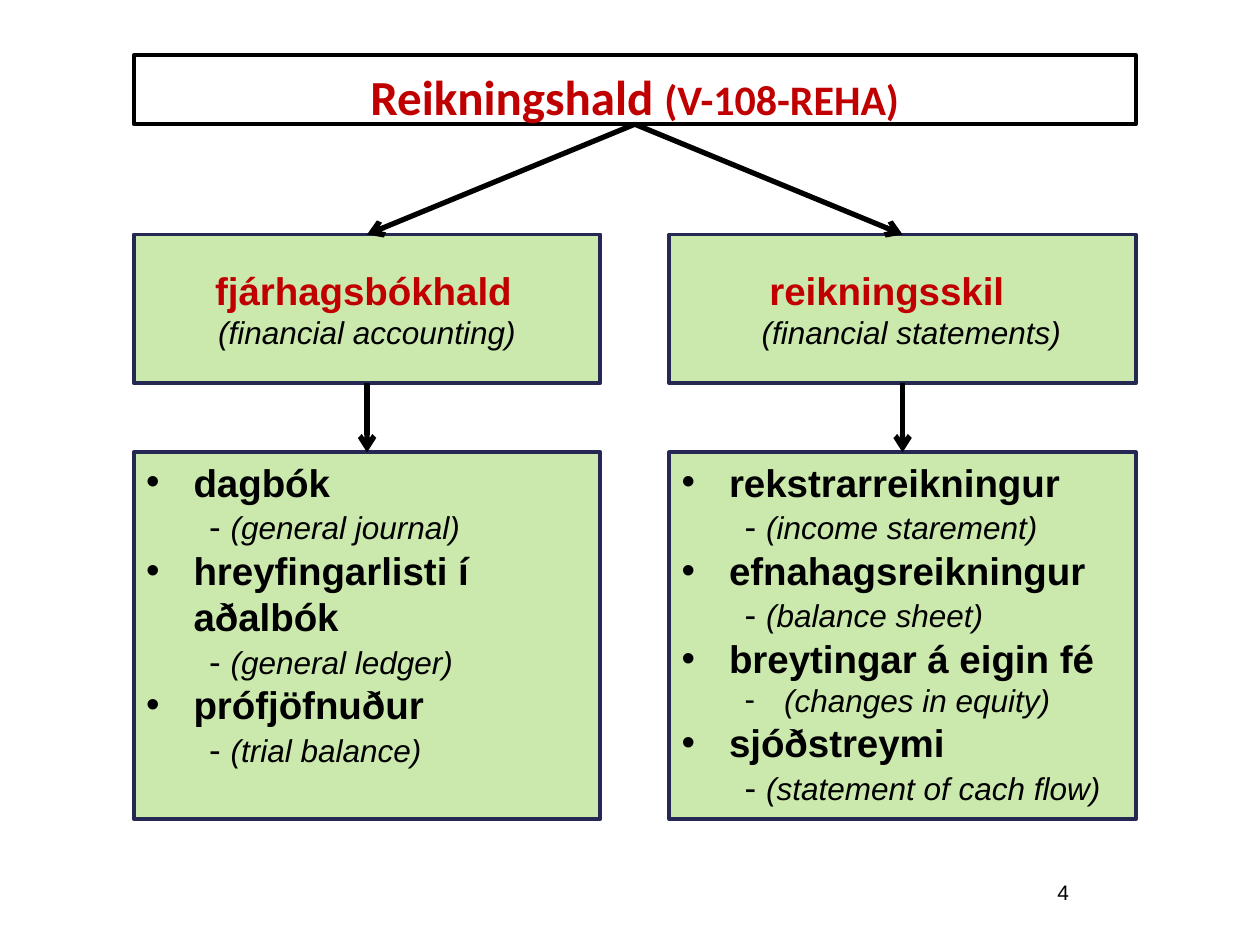
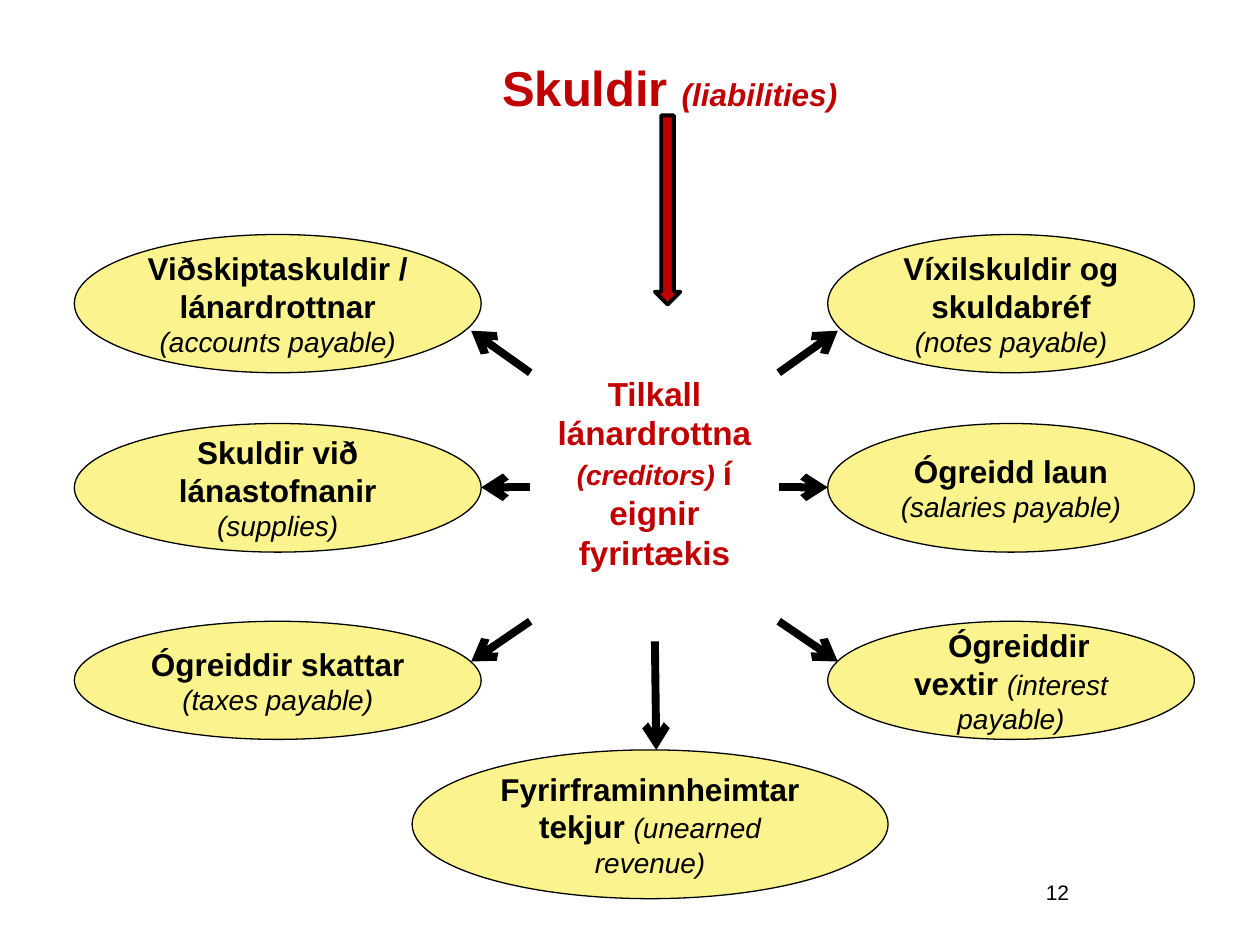
from dataclasses import dataclass

from lxml.etree import SubElement
from pptx import Presentation
from pptx.dml.color import RGBColor
from pptx.enum.shapes import MSO_CONNECTOR, MSO_SHAPE
from pptx.enum.text import MSO_ANCHOR, MSO_AUTO_SIZE, PP_ALIGN
from pptx.oxml.ns import qn
from pptx.util import Pt


@dataclass(frozen=True)
class Theme:
    """Colours, fonts and type sizes shared by the slides."""
    black: RGBColor = RGBColor(0, 0, 0)
    red: RGBColor = RGBColor(0xC0, 0, 0)
    green: RGBColor = RGBColor(0xCC, 0xE9, 0xAD)
    navy: RGBColor = RGBColor(0x24, 0x28, 0x52)
    yellow: RGBColor = RGBColor(0xFB, 0xF3, 0x8D)
    font: str = "Arial"
    course_font: str = "Calibri"
    title: int = 28
    course_code: int = 24
    heading: int = 22
    dash: int = 20
    hub: int = 19
    body: int = 18
    note: int = 16
    number: int = 12


THEME = Theme()


def add_text(shape, text, *, size, color=THEME.black, font=THEME.font, bold=False,
             italic=False, align=PP_ALIGN.CENTER, same_line=False, level=0,
             left=0, right=0, first=0, bullet=None):
    """Add a run to the shape, in a new paragraph unless same_line is set."""
    frame = shape.text_frame
    paragraph = frame.paragraphs[-1]
    if not same_line:
        if paragraph.runs:
            paragraph = frame.add_paragraph()
        paragraph.alignment = align
        paragraph.level = level
        properties = paragraph._p.get_or_add_pPr()
        for name, length in (("marL", left), ("marR", right), ("indent", first)):
            properties.set(name, str(int(Pt(length))))
        if bullet:
            SubElement(properties, qn("a:buFont"), typeface=THEME.font)
            SubElement(properties, qn("a:buChar"), char=bullet)
    run = paragraph.add_run()
    run.text = text
    run.font.name = font
    run.font.size = Pt(size)
    run.font.bold = bold
    run.font.italic = italic
    run.font.color.rgb = color


class Deck:
    """Holds the style and the current slide, and draws each kind of element."""

    def __init__(self, theme):
        """Start an empty presentation of 10 by 7.5 inches."""
        self.theme = theme
        self.presentation = Presentation()
        self.presentation.slide_width = Pt(720)
        self.presentation.slide_height = Pt(540)
        self.slide = None

    def new_slide(self, number):
        """Open a title-only slide with its number at the lower right."""
        self.slide = self.presentation.slides.add_slide(self.presentation.slide_layouts[5])
        box = self.slide.shapes.add_textbox(Pt(468), Pt(492), Pt(150), Pt(36))
        box.text_frame.word_wrap = True
        box.text_frame.vertical_anchor = MSO_ANCHOR.MIDDLE
        add_text(box, str(number), size=self.theme.number, align=PP_ALIGN.RIGHT)

    def title(self, bounds, text, detail, detail_size, font, italic=False):
        """Place the title, with a smaller detail after it."""
        shape = self.slide.shapes.title
        shape.left, shape.top, shape.width, shape.height = map(Pt, bounds)
        frame = shape.text_frame
        frame.auto_size = MSO_AUTO_SIZE.NONE
        frame.vertical_anchor = MSO_ANCHOR.TOP
        frame.margin_top = Pt(6.6)
        style = dict(font=font, color=self.theme.red, bold=True)
        add_text(shape, text, size=self.theme.title, **style)
        add_text(shape, detail, size=detail_size, italic=italic, same_line=True, **style)
        return shape

    def box(self, kind, bounds, fill=None, line=None, width=0.75, anchor=MSO_ANCHOR.MIDDLE):
        """Draw a preset shape, unfilled or unlined where no colour is given."""
        shape = self.slide.shapes.add_shape(kind, *map(Pt, bounds))
        shape.shadow.inherit = False
        if fill is None:
            shape.fill.background()
        else:
            shape.fill.solid()
            shape.fill.fore_color.rgb = fill
        if line is None:
            shape.line.fill.background()
        else:
            shape.line.color.rgb = line
            shape.line.width = Pt(width)
        shape.text_frame.word_wrap = True
        shape.text_frame.vertical_anchor = anchor
        return shape

    def panel(self, bounds, anchor=MSO_ANCHOR.MIDDLE):
        """Draw a green panel with a navy border."""
        return self.box(MSO_SHAPE.RECTANGLE, bounds, self.theme.green, self.theme.navy,
                        2.25, anchor)

    def terms(self, bounds, entries):
        """Draw a panel of bulleted terms, each with its translation below."""
        shape = self.panel(bounds, MSO_ANCHOR.TOP)
        left = PP_ALIGN.LEFT
        for term, translation, hanging in entries:
            add_text(shape, term, size=self.theme.heading, bold=True, align=left,
                     left=27, first=-27, bullet="•")
            if hanging:
                add_text(shape, translation, size=self.theme.body, italic=True, align=left,
                         level=1, left=58.5, first=-22.5, bullet="-")
            else:
                add_text(shape, "- ", size=self.theme.dash, align=left, level=1, left=36)
                add_text(shape, translation, size=self.theme.body, italic=True,
                         same_line=True)
        return shape

    def bubble(self, bounds, term, translation, first=0):
        """Draw a yellow ellipse with a term and its translation."""
        shape = self.box(MSO_SHAPE.OVAL, bounds, self.theme.yellow, self.theme.black)
        add_text(shape, term + " ", size=self.theme.body, bold=True, first=first)
        add_text(shape, translation, size=self.theme.note, italic=True, same_line=True)

    def arrow(self, start, end, width):
        """Draw a black line with an open arrowhead at its end."""
        connector = self.slide.shapes.add_connector(
            MSO_CONNECTOR.STRAIGHT, *map(Pt, (*start, *end)))
        connector.line.color.rgb = self.theme.black
        connector.line.width = Pt(width)
        properties = connector.element.spPr
        SubElement(properties.find(qn("a:ln")), qn("a:tailEnd"), type="arrow")
        SubElement(properties, qn("a:effectLst"))
        return connector

    def link(self, upper, lower):
        """Join the bottom of one shape to the top of another with an arrow."""
        connector = self.arrow((0, 0), (0, 0), 3)
        connector.begin_connect(upper, 2)
        connector.end_connect(lower, 0)


def build_accounting(deck):
    """Build the tree of the two branches of accounting."""
    theme = deck.theme
    deck.new_slide(4)
    title = deck.title((76.5, 31.5, 572.5, 39.5), "Reikningshald ", "(V-108-REHA)",
                       theme.course_code, theme.course_font)
    title.line.color.rgb = theme.black
    title.line.width = Pt(2.25)

    branches = (
        ("fjárhagsbókhald", "(financial accounting)", 4, 0, (
            ("dagbók", "(general journal)", False),
            ("hreyfingarlisti í aðalbók", "(general ledger)", False),
            ("prófjöfnuður", "(trial balance)", False))),
        ("reikningsskil", "(financial statements)", 18, 10, (
            ("rekstrarreikningur", "(income starement)", False),
            ("efnahagsreikningur", "(balance sheet)", False),
            ("breytingar á eigin fé", "(changes in equity)", True),
            ("sjóðstreymi", "(statement of cach flow)", False))),
    )
    for column, (name, translation, right, left, entries) in enumerate(branches):
        x = 76.5 + 306 * column
        branch = deck.panel((x, 134, 266.5, 85))
        add_text(branch, name, size=theme.heading, color=theme.red, bold=True, right=right)
        add_text(branch, translation, size=theme.body, italic=True, left=left)
        terms = deck.terms((x, 258.5, 266.5, 209.5), entries)
        deck.link(title, branch)
        deck.link(branch, terms)


def build_liabilities(deck):
    """Build the hub of creditors' claims with the kinds of liabilities around it."""
    theme = deck.theme
    deck.new_slide(12)
    deck.title((263.5, 26, 238.5, 39.5), "Skuldir ", "(liabilities)", theme.body,
               theme.font, italic=True)

    hub_left, hub_right = 303, 445
    hub = deck.box(MSO_SHAPE.ROUNDED_RECTANGLE, (hub_left, 173.5, hub_right - hub_left, 193))
    style = dict(color=theme.red, bold=True)
    add_text(hub, "Tilkall lánardrottna ", size=theme.hub, **style)
    add_text(hub, "(creditors) ", size=theme.note, italic=True, same_line=True, **style)
    add_text(hub, "í eignir fyrirtækis", size=theme.hub, same_line=True, **style)

    left, left_width, right, right_width = 42.5, 232.5, 473, 209.5
    rows = (
        (134, 79, 213, 189, 5.75,
         ("Viðskiptaskuldir / lánardrottnar", "(accounts payable)"),
         ("Víxilskuldir og skuldabréf", "(notes payable)")),
        (242, 73.5, 278.5, 278.5, 0,
         ("Skuldir við lánastofnanir", "(supplies)"),
         ("Ógreidd laun", "(salaries payable)")),
        (355, 67.5, 355, 378, 5.75,
         ("Ógreiddir skattar", "(taxes payable)"),
         ("Ógreiddir vextir", "(interest payable)", 9)),
    )
    for top, height, start, end, overlap, left_text, right_text in rows:
        deck.bubble((left, top, left_width, height), *left_text)
        deck.bubble((right, top, right_width, height), *right_text)
        deck.arrow((hub_left, start), (left + left_width - overlap, end), 4.5)
        deck.arrow((hub_right, start), (right + overlap, end), 4.5)

    deck.bubble((235.5, 428.5, 272, 85), "Fyrirframinnheimtar tekjur", "(unearned revenue)")
    deck.arrow((374.25, 366.5), (375, 428.5), 4.5)
    deck.box(MSO_SHAPE.DOWN_ARROW, (374.25, 66, 14.5, 108), theme.red, theme.black, 2.25)


def main():
    """Build both slides and save them."""
    deck = Deck(THEME)
    build_accounting(deck)
    build_liabilities(deck)
    deck.presentation.save("out.pptx")


main()
